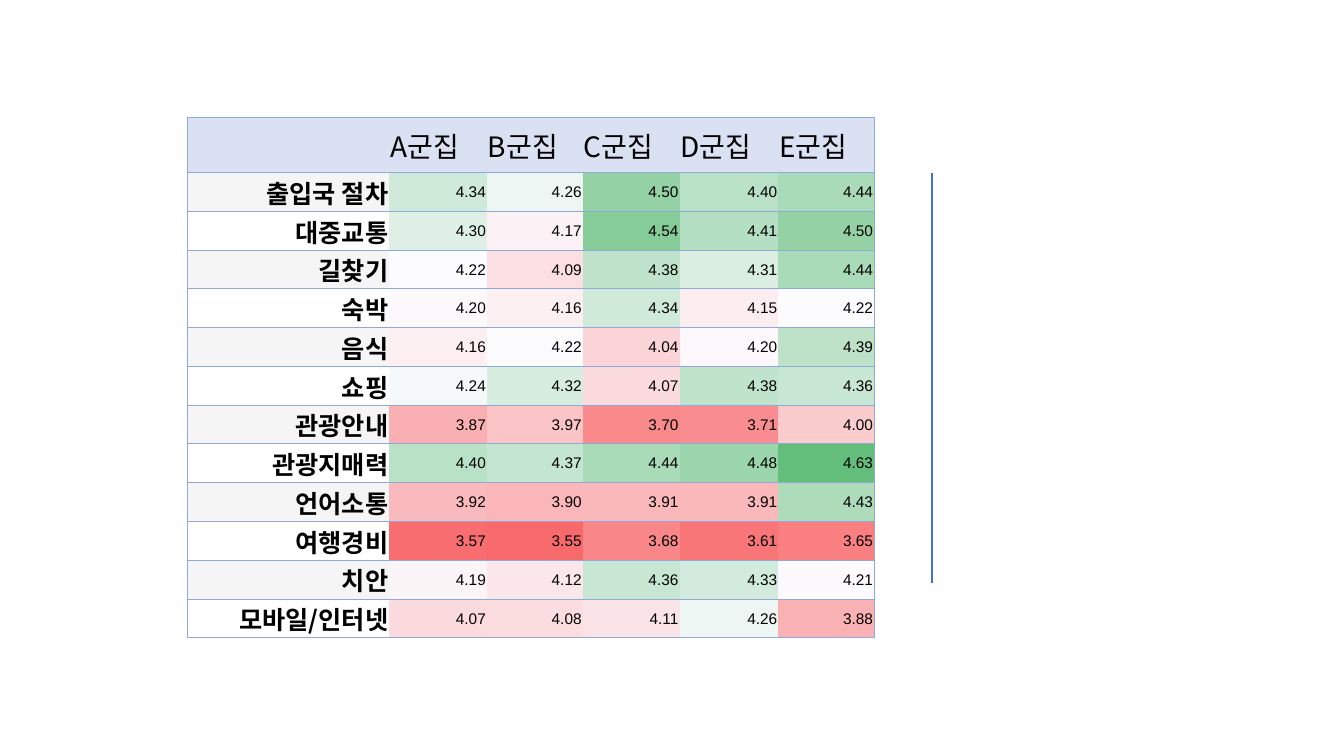
from lxml import etree
from pptx import Presentation
from pptx.dml.color import RGBColor
from pptx.enum.shapes import MSO_CONNECTOR
from pptx.enum.text import MSO_ANCHOR, PP_ALIGN
from pptx.oxml.ns import qn
from pptx.util import Inches, Pt

STRAIGHT = MSO_CONNECTOR.STRAIGHT
MIDDLE = MSO_ANCHOR.MIDDLE
LEFT, RIGHT = PP_ALIGN.LEFT, PP_ALIGN.RIGHT

BLACK = RGBColor(0x00, 0x00, 0x00)
HEADER_FILL = RGBColor(0xD9, 0xE1, 0xF2)
BAND_FILL = RGBColor(0xF5, 0xF5, 0xF5)
BORDER = RGBColor(0x8E, 0xA9, 0xDB)
RULE = RGBColor(0x44, 0x72, 0xC4)
LOW = RGBColor(0xF8, 0x69, 0x6B)
MIDPOINT = RGBColor(0xFC, 0xFC, 0xFF)
HIGH = RGBColor(0x63, 0xBE, 0x7B)

KOREAN_FONT = "Noto Sans CJK KR"
HEADER_STYLE = {"name": KOREAN_FONT, "size": Pt(20), "bold": False}
LABEL_STYLE = {"name": KOREAN_FONT, "size": Pt(18), "bold": True}
SCORE_STYLE = {"name": "Arial", "size": Pt(11), "bold": False}

CLUSTERS = ["", "A군집", "B군집", "C군집", "D군집", "E군집"]
SCORES = {
    "출입국 절차": [4.34, 4.26, 4.50, 4.40, 4.44],
    "대중교통": [4.30, 4.17, 4.54, 4.41, 4.50],
    "길찾기": [4.22, 4.09, 4.38, 4.31, 4.44],
    "숙박": [4.20, 4.16, 4.34, 4.15, 4.22],
    "음식": [4.16, 4.22, 4.04, 4.20, 4.39],
    "쇼핑": [4.24, 4.32, 4.07, 4.38, 4.36],
    "관광안내": [3.87, 3.97, 3.70, 3.71, 4.00],
    "관광지매력": [4.40, 4.37, 4.44, 4.48, 4.63],
    "언어소통": [3.92, 3.90, 3.91, 3.91, 4.43],
    "여행경비": [3.57, 3.55, 3.68, 3.61, 3.65],
    "치안": [4.19, 4.12, 4.36, 4.33, 4.21],
    "모바일/인터넷": [4.07, 4.08, 4.11, 4.26, 3.88],
}
LOWEST, CENTRE, HIGHEST = 3.55, 4.22, 4.63

TABLE_LEFT, TABLE_TOP, TABLE_HEIGHT = 1.86, 1.16, 5.17
COLUMN_WIDTHS = [2, 0.97, 0.95, 0.96, 0.98, 0.95]
HEADER_HEIGHT = 0.55
ROW_HEIGHT = (TABLE_HEIGHT - HEADER_HEIGHT) / len(SCORES)


def scale_colour(score):
    """Three-colour scale: red at the lowest score, green at the highest."""
    if score < CENTRE:
        end, share = LOW, (CENTRE - score) / (CENTRE - LOWEST)
    else:
        end, share = HIGH, (score - CENTRE) / (HIGHEST - CENTRE)
    return RGBColor(*(round(m + (e - m) * share) for m, e in zip(MIDPOINT, end)))


def format_cell(cell, text, style, alignment, fill, visible_sides):
    cell.vertical_anchor = MIDDLE
    cell.margin_left = cell.margin_right = cell.margin_top = Inches(0.01)
    cell.margin_bottom = 0
    if fill is None:
        cell.fill.background()
    else:
        cell.fill.solid()
        cell.fill.fore_color.rgb = fill

    paragraph = cell.text_frame.paragraphs[0]
    paragraph.alignment = alignment
    run = paragraph.add_run()
    run.text = text
    for attribute, value in style.items():
        setattr(run.font, attribute, value)
    run.font.color.rgb = BLACK
    east_asian = etree.SubElement(run.font._element, qn("a:ea"))
    east_asian.set("typeface", KOREAN_FONT)

    # Borders come before the fill in the cell properties
    properties = cell._tc.get_or_add_tcPr()
    for index, side in enumerate("LRTB"):
        border = etree.Element(qn(f"a:ln{side}"), w=str(Pt(0.5)))
        if side in visible_sides:
            solid = etree.SubElement(border, qn("a:solidFill"))
            etree.SubElement(solid, qn("a:srgbClr"), val=str(BORDER))
        else:
            etree.SubElement(border, qn("a:noFill"))
        properties.insert(index, border)


presentation = Presentation()
presentation.slide_width = Inches(13.33)
presentation.slide_height = Inches(7.5)
slide = presentation.slides.add_slide(presentation.slide_layouts[6])

# Vertical rule to the right of the table
rule = slide.shapes.add_connector(
    STRAIGHT, Inches(9.24), Inches(1.72), Inches(9.24), Inches(5.78)
)
rule.line.color.rgb = RULE
rule.line.width = Pt(1.5)
etree.SubElement(rule._element.spPr, qn("a:effectLst"))

# Table grid
table = slide.shapes.add_table(
    len(SCORES) + 1, len(CLUSTERS), Inches(TABLE_LEFT), Inches(TABLE_TOP),
    Inches(sum(COLUMN_WIDTHS)), Inches(TABLE_HEIGHT),
).table
table.first_row = table.horz_banding = False
for column, width in zip(table.columns, COLUMN_WIDTHS):
    column.width = Inches(width)
for row in table.rows:
    row.height = Inches(ROW_HEIGHT)
table.rows[0].height = Inches(HEADER_HEIGHT)

# Horizontal borders everywhere, vertical ones only on the outer edges
column_sides = ["LTB"] + ["TB"] * (len(CLUSTERS) - 2) + ["RTB"]

# Header row
for column, cluster in enumerate(CLUSTERS):
    format_cell(table.cell(0, column), cluster, HEADER_STYLE, LEFT,
                HEADER_FILL, column_sides[column])

# Category labels and scores
for row, (label, scores) in enumerate(SCORES.items(), start=1):
    label_fill = BAND_FILL if row % 2 else None
    format_cell(table.cell(row, 0), label, LABEL_STYLE, RIGHT,
                label_fill, column_sides[0])
    for column, score in enumerate(scores, start=1):
        format_cell(table.cell(row, column), f"{score:.2f}", SCORE_STYLE, RIGHT,
                    scale_colour(score), column_sides[column])

presentation.save("out.pptx")
